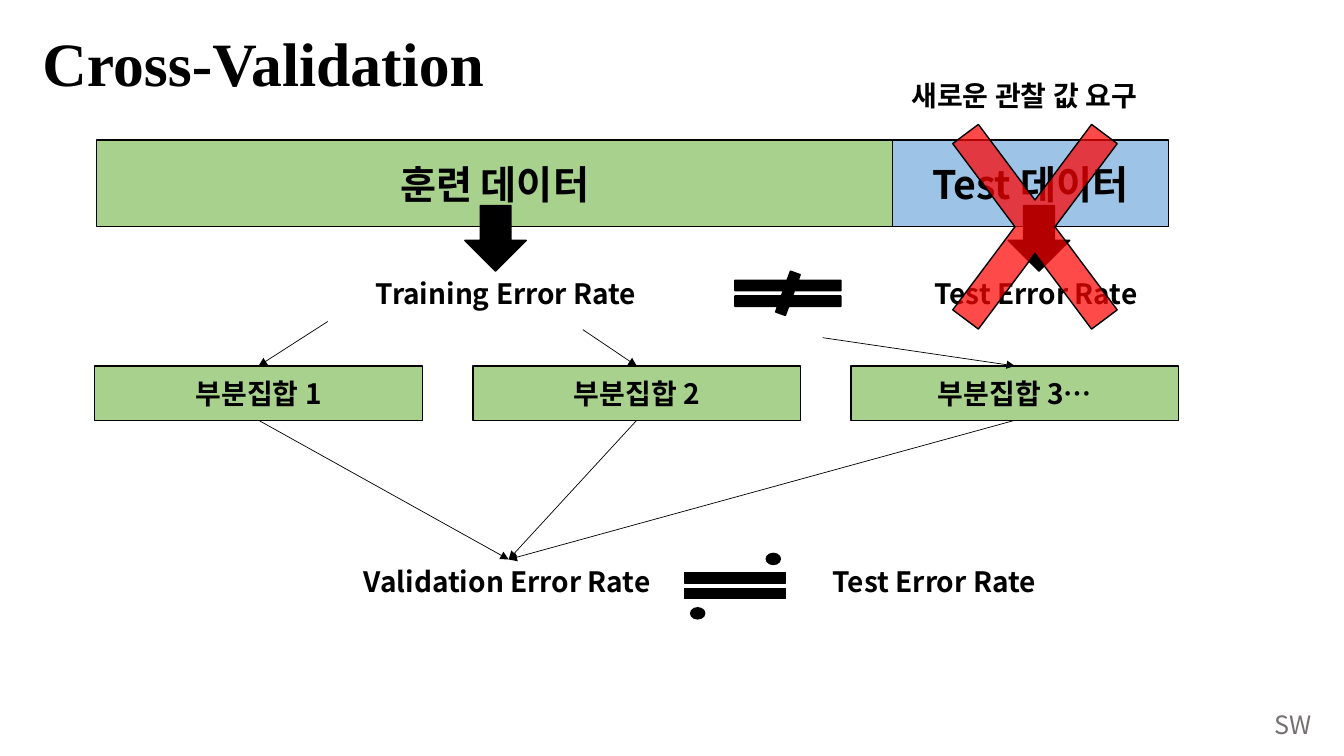
from lxml.etree import SubElement
from pptx import Presentation
from pptx.dml.color import RGBColor
from pptx.enum.shapes import MSO_CONNECTOR, MSO_SHAPE
from pptx.enum.text import MSO_ANCHOR, MSO_AUTO_SIZE, PP_ALIGN
from pptx.oxml.ns import qn
from pptx.util import Pt

PX = 9144  # 100 px to the inch
SANS, SERIF = "Noto Sans CJK KR", "Times New Roman"
HUES = {"black": "000000", "green": "A9D18E", "blue": "9DC3E6",
        "red": "FF0000", "gray": "767171"}
HUES = {name: RGBColor.from_string(code) for name, code in HUES.items()}

deck = Presentation()
deck.slide_width, deck.slide_height = 1333 * PX, 750 * PX
slide = deck.slides.add_slide(deck.slide_layouts[5])
shapes = slide.shapes


def write(shape, text, size, align=PP_ALIGN.LEFT, bold=True, hue="black", face=SANS):
    """Put one styled paragraph in a shape."""
    para = shape.text_frame.paragraphs[0]
    para.text = text
    para.alignment = align
    font = para.font
    font.size, font.bold, font.name = Pt(size), bold, face
    font.color.rgb = HUES[hue]
    props = para._p.pPr.find(qn("a:defRPr"))
    SubElement(props, qn("a:ea")).set("typeface", face)
    return para


def draw(kind, box, hue, text=None, size=20):
    """Add a filled shape with a black outline."""
    shape = shapes.add_shape(kind, *(n * PX for n in box))
    shape.shadow.inherit = False
    shape.fill.solid()
    shape.fill.fore_color.rgb = HUES[hue]
    shape.line.color.rgb = HUES["black"]
    shape.line.width = Pt(1)
    if text:
        shape.text_frame.vertical_anchor = MSO_ANCHOR.MIDDLE
        write(shape, text, size, PP_ALIGN.CENTER)
    return shape


# Title
title = shapes.title
title.left, title.top, title.width, title.height = 32 * PX, -6 * PX, 1150 * PX, 145 * PX
title.text_frame.auto_size = MSO_AUTO_SIZE.NONE
title.text_frame.vertical_anchor = MSO_ANCHOR.MIDDLE
write(title, "Cross-Validation", 44, face=SERIF).line_spacing = 0.9

# Data bar
draw(MSO_SHAPE.RECTANGLE, (885, 139, 274, 86), "blue", "Test 데이터", 28)
draw(MSO_SHAPE.RECTANGLE, (96, 139, 789, 86), "green", "훈련 데이터", 28)

# Labels
labels = {}
for text, x, y, w, h, size, bold, hue in [
    ("SW", 1254, 699, 58, 40, 18, False, "gray"),
    ("Training Error Rate", 363, 269, 282, 44, 20, True, "black"),
    ("Test Error Rate", 917, 269, 227, 44, 20, True, "black"),
    ("새로운 관찰 값 요구", 894, 73, 274, 44, 20, True, "black"),
    ("Validation Error Rate", 351, 555, 307, 44, 20, True, "black"),
    ("Test Error Rate", 816, 555, 227, 44, 20, True, "black"),
]:
    label = shapes.add_textbox(x * PX, y * PX, w * PX, h * PX)
    label.text_frame.word_wrap = False
    label.text_frame.auto_size = MSO_AUTO_SIZE.SHAPE_TO_FIT_TEXT
    write(label, text, size, bold=bold, hue=hue)
    labels[text] = label

# Block arrows from data to error rates
for x in (459, 998):
    draw(MSO_SHAPE.RIGHT_ARROW, (x, 206, 65, 61), "black").rotation = 90

# See-through cross over the test data
cross = draw(MSO_SHAPE.MATH_MULTIPLY, (894, 48, 265, 354), "red")
cross.adjustments[0] = 0.12
tint = cross._element.spPr.find(qn("a:solidFill"))[0]
SubElement(tint, qn("a:alpha")).set("val", "71000")

# Not equal, and nearly equal with its two dots
draw(MSO_SHAPE.MATH_NOT_EQUAL, (710, 269, 143, 44), "black")
draw(MSO_SHAPE.MATH_EQUAL, (661, 559, 136, 44), "black")
for x, y in ((685, 603), (760, 549)):
    draw(MSO_SHAPE.OVAL, (x, y, 14, 11), "black")

# Subsets, each with an arrow in and an arrow out
goal = labels["Validation Error Rate"]
starts = [(325, 319), (578, 327), (816, 335)]
for i, (x, y) in enumerate(starts):
    part = draw(MSO_SHAPE.RECTANGLE, (94 + 375 * i, 363, 325, 54), "green",
                f"부분집합 {i + 1}" + ("…" if i == 2 else ""))
    into, out = [shapes.add_connector(MSO_CONNECTOR.STRAIGHT, x * PX, y * PX, 0, 0)
                 for _ in range(2)]
    into.end_connect(part, 0)
    out.begin_connect(part, 2)
    out.end_connect(goal, 0)
    for line in (into, out):
        line.line.color.rgb = HUES["black"]
        line.line.width = Pt(0.5)
        SubElement(line.line._get_or_add_ln(), qn("a:tailEnd")).set("type", "triangle")
        SubElement(line._element.spPr, qn("a:effectLst"))

deck.save("out.pptx")
